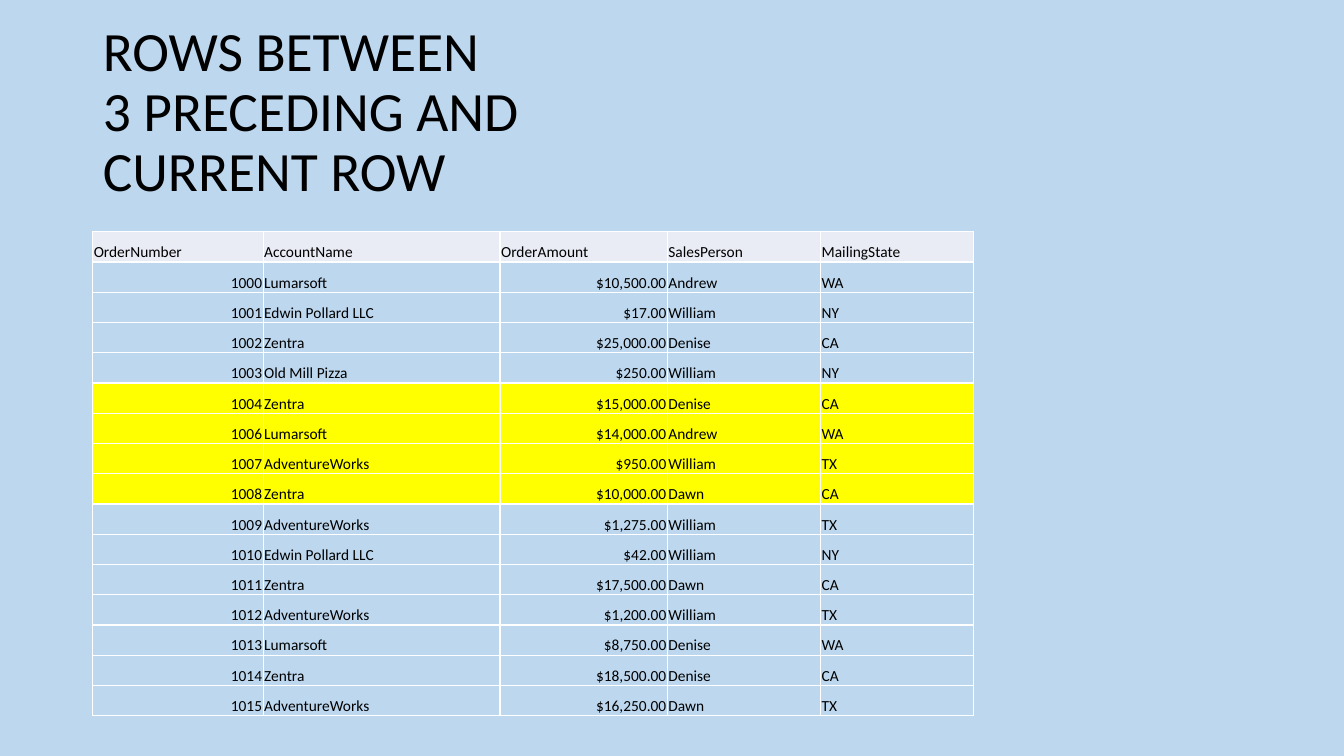
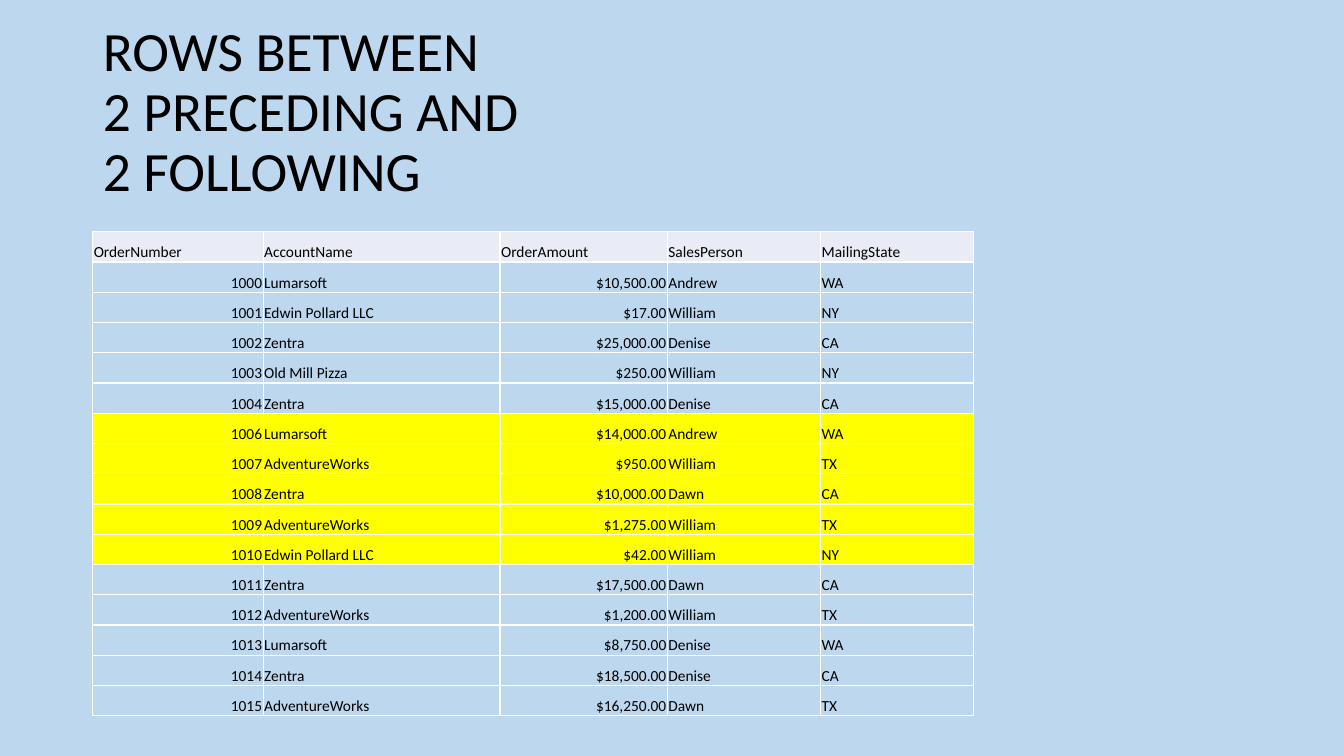
"""Builds two slides showing which orders fall inside a SQL window frame."""
from dataclasses import dataclass

from lxml.etree import SubElement
from pptx import Presentation
from pptx.dml.color import RGBColor as RGB
from pptx.enum.text import MSO_ANCHOR as Anchor, MSO_AUTO_SIZE as AutoSize, PP_ALIGN as Align
from pptx.oxml.ns import qn
from pptx.util import Inches, Pt

HEADERS = ("OrderNumber", "AccountName", "OrderAmount", "SalesPerson", "MailingState")
ORDERS = [
    (1000, "Lumarsoft", 10500, "Andrew", "WA"),
    (1001, "Edwin Pollard LLC", 17, "William", "NY"),
    (1002, "Zentra", 25000, "Denise", "CA"),
    (1003, "Old Mill Pizza", 250, "William", "NY"),
    (1004, "Zentra", 15000, "Denise", "CA"),
    (1006, "Lumarsoft", 14000, "Andrew", "WA"),
    (1007, "AdventureWorks", 950, "William", "TX"),
    (1008, "Zentra", 10000, "Dawn", "CA"),
    (1009, "AdventureWorks", 1275, "William", "TX"),
    (1010, "Edwin Pollard LLC", 42, "William", "NY"),
    (1011, "Zentra", 17500, "Dawn", "CA"),
    (1012, "AdventureWorks", 1200, "William", "TX"),
    (1013, "Lumarsoft", 8750, "Denise", "WA"),
    (1014, "Zentra", 18500, "Denise", "CA"),
    (1015, "AdventureWorks", 16250, "Dawn", "TX"),
]
CURRENT = [order[0] for order in ORDERS].index(1008)
FRAMES = [
    {"title": "ROWS BETWEEN\n3 PRECEDING AND\nCURRENT ROW", "preceding": 3, "following": 0},
    {"title": "ROWS BETWEEN\n2 PRECEDING AND\n2 FOLLOWING", "preceding": 2, "following": 2},
]

COLUMNS = (1.69, 2.35, 1.66, 1.52, 1.52)
NUMERIC = (0, 2)
LEFT = 0.92
TABLE_TOP, ROW_HEIGHT = 2.3, 0.3


@dataclass(frozen=True)
class Theme:
    """Colours, font and type sizes."""
    font: str = "Calibri"
    title_size: float = 39.6
    cell_size: float = 11
    text: str = "000000"
    background: str = "BDD7EE"
    header: str = "E9EBF5"
    highlight: str = "FFFF00"
    border: str = "FFFFFF"


THEME = Theme()


def style(p, size):
    """Set the shared font on a paragraph."""
    p.font.name, p.font.size, p.font.bold = THEME.font, Pt(size), False
    p.font.color.rgb = RGB.from_string(THEME.text)


def add_borders(cell):
    """Draw a thin line on every side of a cell."""
    tc_pr = cell._tc.get_or_add_tcPr()
    for side in ("a:lnL", "a:lnR", "a:lnT", "a:lnB"):
        fill = SubElement(SubElement(tc_pr, qn(side), w=str(Pt(1))), qn("a:solidFill"))
        SubElement(fill, qn("a:srgbClr"), val=THEME.border)


def fill_cell(cell, text, align, colour):
    """Write and format one table cell."""
    cell.margin_left = cell.margin_right = cell.margin_top = Inches(0.01)
    cell.margin_bottom = 0
    cell.vertical_anchor = Anchor.BOTTOM
    add_borders(cell)
    if colour:
        cell.fill.solid()
        cell.fill.fore_color.rgb = RGB.from_string(colour)
    else:
        cell.fill.background()
    p = cell.text_frame.paragraphs[0]
    p.text, p.alignment = text, align
    style(p, THEME.cell_size)


def add_orders(s, framed):
    """Add the order table with the framed rows highlighted."""
    rows = [HEADERS] + [(str(number), account, f"${amount:,.2f}", person, state)
                        for number, account, amount, person, state in ORDERS]
    table = s.shapes.add_table(len(rows), len(COLUMNS), Inches(LEFT), Inches(TABLE_TOP),
                               Inches(sum(COLUMNS)), Inches(ROW_HEIGHT * len(rows))).table
    table.first_row = table.horz_banding = False
    for column, width in zip(table.columns, COLUMNS):
        column.width = Inches(width)
    for r, row in enumerate(rows):
        colour = THEME.header if r == 0 else THEME.highlight if r - 1 in framed else None
        for c, text in enumerate(row):
            align = Align.RIGHT if r and c in NUMERIC else Align.LEFT
            fill_cell(table.cell(r, c), text, align, colour)


def add_slide(prs, layout, frame):
    """Add one slide with its title and table."""
    s = prs.slides.add_slide(layout)
    tf = s.shapes.title.text_frame
    tf.auto_size = AutoSize.NONE
    p = tf.paragraphs[0]
    p.text = frame["title"]
    p.alignment, p.line_spacing = Align.LEFT, 0.9
    style(p, THEME.title_size)
    add_orders(s, range(CURRENT - frame["preceding"], CURRENT + frame["following"] + 1))


def main():
    """Build and save the presentation."""
    prs = Presentation()
    prs.slide_width, prs.slide_height = Inches(13.33), Inches(7.5)
    background = prs.slide_master.background.fill
    background.solid()
    background.fore_color.rgb = RGB.from_string(THEME.background)
    layout = prs.slide_layouts.get_by_name("Title Only")
    title = next(sp for sp in layout.placeholders if sp.placeholder_format.idx == 0)
    title.left, title.top = Inches(LEFT), Inches(0.4)
    title.width, title.height = Inches(11.5), Inches(1.45)
    title.text_frame.vertical_anchor = Anchor.MIDDLE
    for frame in FRAMES:
        add_slide(prs, layout, frame)
    prs.save("out.pptx")


if __name__ == "__main__":
    main()
